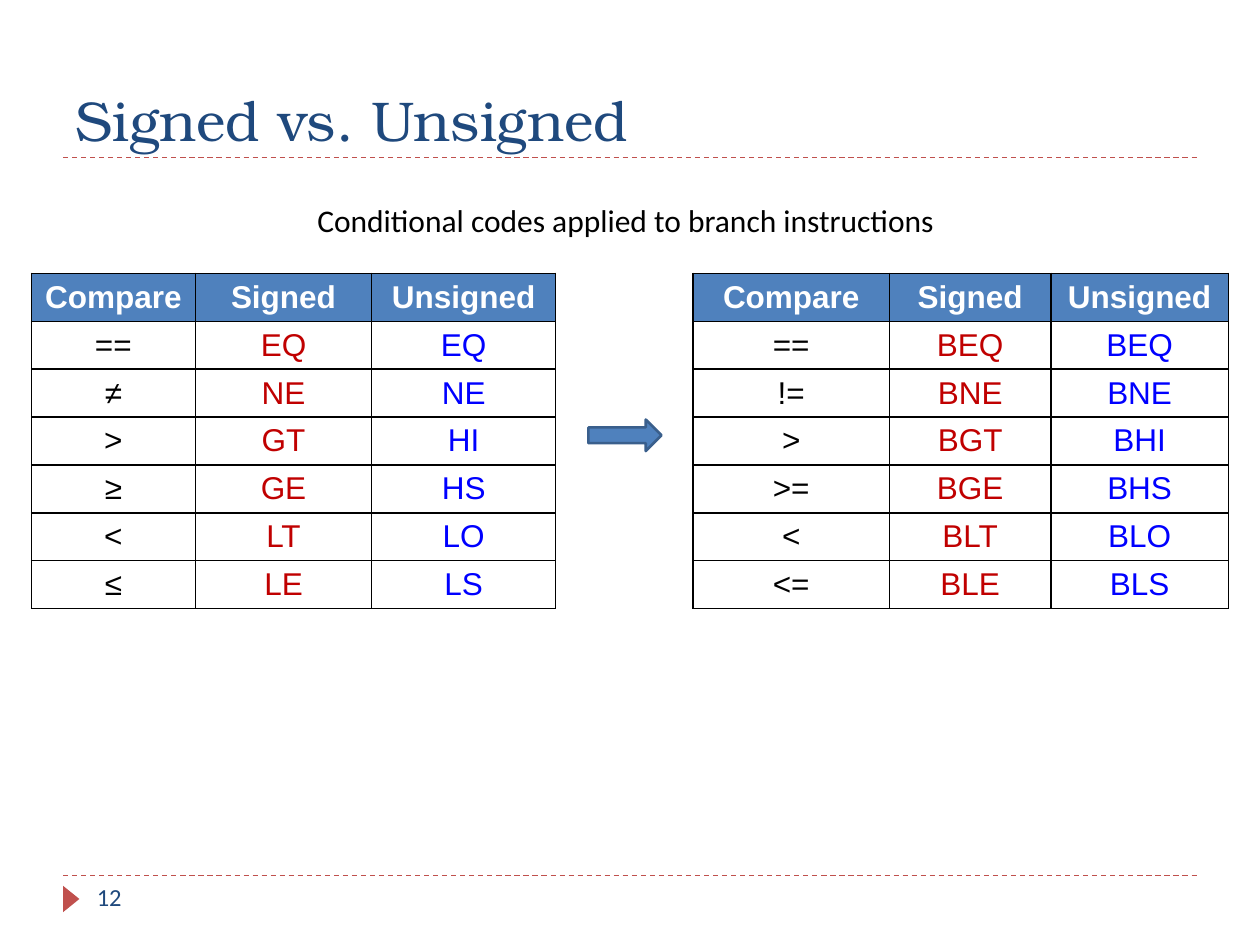
from lxml.etree import SubElement
from pptx import Presentation
from pptx.dml.color import RGBColor
from pptx.enum.dml import MSO_LINE
from pptx.enum.shapes import MSO_CONNECTOR, MSO_SHAPE
from pptx.enum.text import MSO_ANCHOR, PP_ALIGN
from pptx.oxml.ns import qn
from pptx.util import Inches, Pt

COLORS = {"navy": "1F497D", "blue": "4F81BD", "edge": "3A5F8C", "rule": "C0504D",
          "white": "FFFFFF", "black": "000000", "signed": "C00000", "unsigned": "0000FF"}
COLUMN_COLORS = ("black", "signed", "unsigned")

TITLE = "Signed vs. Unsigned"
CAPTION = "Conditional codes applied to branch instructions"
PAGE = "12"
HEADER = ("Compare", "Signed", "Unsigned")
# condition symbol, operator in code, signed code, unsigned code
CONDITIONS = [
    ("==", "==", "EQ", "EQ"),
    ("≠", "!=", "NE", "NE"),
    (">", ">", "GT", "HI"),
    ("≥", ">=", "GE", "HS"),
    ("<", "<", "LT", "LO"),
    ("≤", "<=", "LE", "LS"),
]
CODE_ROWS = [(sym, signed, unsigned) for sym, _, signed, unsigned in CONDITIONS]
BRANCH_ROWS = [(op, "B" + signed, "B" + unsigned) for _, op, signed, unsigned in CONDITIONS]
# left edge, column widths, rows
TABLES = [
    (0.25, (1.3, 1.4, 1.46), CODE_ROWS),
    (5.5, (1.56, 1.28, 1.41), BRANCH_ROWS),
]
WIDTH, HEIGHT, MARGIN = 10, 7.5, 0.5
TABLE_TOP, ROW_H = 2.17, 0.38
RULES_Y = (6.95, 1.25)


def rgb(name):
    return RGBColor.from_string(COLORS[name])


def write(tf, text, size, font, color, align=PP_ALIGN.LEFT, bold=False):
    tf.text = text
    p = tf.paragraphs[0]
    p.alignment = align
    f = p.runs[0].font
    f.size, f.name, f.bold = Pt(size), font, bold
    f.color.rgb = rgb(color)


def add_rule(s, y):
    line = s.shapes.add_connector(MSO_CONNECTOR.STRAIGHT, Inches(MARGIN), Inches(y),
                                  Inches(WIDTH - MARGIN), Inches(y))
    line.line.color.rgb = rgb("rule")
    line.line.width = Pt(0.75)
    line.line.dash_style = MSO_LINE.DASH
    SubElement(line._element.spPr, qn("a:effectLst"))


def add_shape(s, kind, box, fill, edge=None):
    shape = s.shapes.add_shape(kind, *map(Inches, box))
    shape.shadow.inherit = False
    shape.fill.solid()
    shape.fill.fore_color.rgb = rgb(fill)
    if edge:
        shape.line.color.rgb = rgb(edge)
        shape.line.width = Pt(1.5)
    else:
        shape.line.fill.background()
    return shape


def add_text(s, box, text, size, color, align=PP_ALIGN.LEFT, wrap=True):
    tf = s.shapes.add_textbox(*map(Inches, box)).text_frame
    tf.word_wrap = wrap
    write(tf, text, size, "Calibri", color, align)


def set_borders(cell):
    tcPr = cell._tc.get_or_add_tcPr()
    for i, side in enumerate(("a:lnL", "a:lnR", "a:lnT", "a:lnB")):
        ln = tcPr.makeelement(qn(side), {"w": str(Pt(1))})
        fill = SubElement(ln, qn("a:solidFill"))
        SubElement(fill, qn("a:srgbClr"), val=COLORS["black"])
        tcPr.insert(i, ln)


def add_code_table(s, left, widths, body):
    rows = [HEADER, *body]
    table = s.shapes.add_table(len(rows), len(widths), Inches(left), Inches(TABLE_TOP),
                               Inches(sum(widths)), Inches(ROW_H * len(rows))).table
    for column, width in zip(table.columns, widths):
        column.width = Inches(width)
    for r, row in enumerate(rows):
        table.rows[r].height = Inches(ROW_H)
        for c, text in enumerate(row):
            cell = table.cell(r, c)
            cell.margin_top = cell.margin_bottom = Inches(0.04)
            cell.vertical_anchor = MSO_ANCHOR.MIDDLE
            head = r == 0
            if head:
                cell.fill.solid()
                cell.fill.fore_color.rgb = rgb("blue")
            else:
                cell.fill.background()
            write(cell.text_frame, text, 18, "Arial",
                  "white" if head else COLUMN_COLORS[c], PP_ALIGN.CENTER, head)
            set_borders(cell)


def main():
    prs = Presentation()
    prs.slide_width, prs.slide_height = Inches(WIDTH), Inches(HEIGHT)
    s = prs.slides.add_slide(prs.slide_layouts[5])

    title = s.shapes.title
    title.left, title.top, title.width, title.height = map(Inches, (MARGIN, 0.01, 8.5, 1.25))
    title.text_frame.vertical_anchor = MSO_ANCHOR.BOTTOM
    write(title.text_frame, TITLE, 32, "TeX Gyre Bonum", "navy")

    for y in RULES_Y:
        add_rule(s, y)
    marker = add_shape(s, MSO_SHAPE.ISOSCELES_TRIANGLE, (0.46, 7.07, 0.21, 0.13), "rule")
    marker.rotation = 90
    add_text(s, (0.67, 6.95, 2.17, 0.4), PAGE, 14, "navy")

    for left, widths, body in TABLES:
        add_code_table(s, left, widths, body)
    add_text(s, (2.42, 1.55, 5.18, 0.4), CAPTION, 18, "black", wrap=False)
    add_shape(s, MSO_SHAPE.RIGHT_ARROW, (4.67, 3.33, 0.58, 0.25), "blue", "edge")

    prs.save("out.pptx")


if __name__ == "__main__":
    main()
